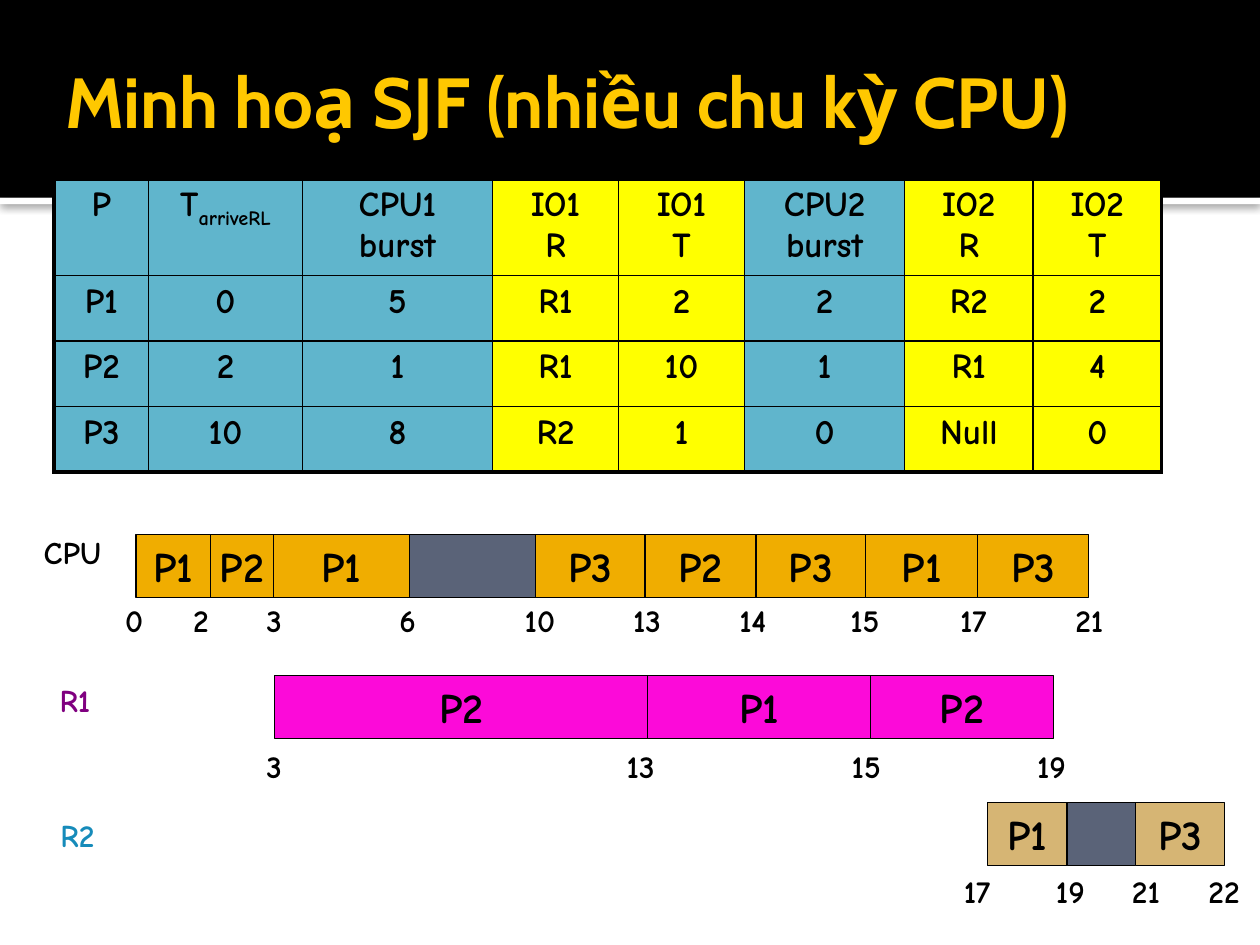
from dataclasses import dataclass
from itertools import pairwise

from lxml.etree import SubElement
from pptx import Presentation
from pptx.dml.color import RGBColor
from pptx.enum.shapes import MSO_SHAPE
from pptx.enum.text import MSO_ANCHOR, PP_ALIGN
from pptx.oxml import parse_xml
from pptx.oxml.ns import nsdecls, qn
from pptx.util import Inches, Pt


@dataclass(frozen=True)
class Theme:
    """Colours, fonts and type sizes."""
    black: str = "000000"
    white: str = "FFFFFF"
    title: str = "FFC800"
    cpu_cell: str = "60B5CC"
    io_cell: str = "FFFF00"
    cpu_bar: str = "F0AD00"
    r1_bar: str = "FC0AD9"
    r2_bar: str = "D6B574"
    idle_bar: str = "5A6378"
    r1_label: str = "800080"
    r2_label: str = "168BBA"
    head_font: str = "Cabin"
    body_font: str = "Comic Neue"
    title_size: float = 40.5
    cell_size: float = 20
    bar_size: float = 24
    tick_size: float = 18
    thin: float = 1
    thick: float = 2.25
    outline: float = 0.75


T = Theme()
COLUMNS = 100
SLIDE_W, SLIDE_H = 10, 7.5
BAR_H, LABEL_H = 5, 4

COL_WIDTHS = [7.5, 12.2, 15.1, 10, 10, 12.7, 10.2, 10.2]
ROW_HEIGHTS = [6.6, 5.2, 5.2, 5.2]
IO_COLUMNS = {3, 4, 6, 7}
ROWS = [
    ["P", "T", "CPU1\nburst", "IO1\nR", "IO1\nT", "CPU2 burst", "IO2\nR", "IO2\nT"],
    ["P1", "0", "5", "R1", "2", "2", "R2", "2"],
    ["P2", "2", "1", "R1", "10", "1", "R1", "4"],
    ["P3", "10", "8", "R2", "1", "0", "Null", "0"],
]

TIMELINES = [
    dict(name="CPU", label=(5.75, 41.8), color=T.black, fill=T.cpu_bar,
         top=42.4, tick_top=47.2,
         edges=[10.8, 16.7, 21.7, 32.5, 42.5, 51.2, 60, 68.7, 77.6, 86.4],
         jobs=["P1", "P2", "P1", "", "P3", "P2", "P3", "P1", "P3"],
         ticks={0: 10.6, 2: 15.9, 3: 21.7, 6: 32.3, 10: 42.8, 13: 51.4,
                14: 59.8, 15: 68.6, 17: 77.3, 21: 86.4}),
    dict(name="R1", label=(5.9, 53.6), color=T.r1_label, fill=T.r1_bar,
         top=53.6, tick_top=58.8,
         edges=[21.8, 51.4, 69.1, 83.6], jobs=["P2", "P1", "P2"],
         ticks={3: 21.7, 13: 50.9, 15: 68.8, 19: 83.4}),
    dict(name="R2", label=(6.2, 64.3), color=T.r2_label, fill=T.r2_bar,
         top=63.7, tick_top=68.7,
         edges=[78.4, 84.7, 90.1, 97.2], jobs=["P1", "", "P3"],
         ticks={17: 77.5, 19: 84.9, 21: 90.9, 22: 97.1}),
]


def grid(n):
    """Length of n grid columns; rows have the same pitch."""
    return Inches(round(n * SLIDE_W / COLUMNS, 2))


def rgb(color):
    """Colour object for a hex string."""
    return RGBColor.from_string(color)


def add_run(p, text, size, color=T.black, font=T.body_font):
    """Append one bold run to a paragraph."""
    r = p.add_run()
    r.text = text
    r.font.size, r.font.name, r.font.bold = Pt(size), font, True
    r.font.color.rgb = rgb(color)
    return r


def add_rect(s, x, y, w, h, fill, text="", outlined=True):
    """Draw a flat rectangle with optional centred text."""
    sp = s.shapes.add_shape(MSO_SHAPE.RECTANGLE, *map(grid, (x, y, w, h)))
    sp.shadow.inherit = False
    sp.fill.solid()
    sp.fill.fore_color.rgb = rgb(fill)
    if outlined:
        sp.line.color.rgb = rgb(T.black)
        sp.line.width = Pt(T.outline)
    else:
        sp.line.fill.background()
    if text:
        tf = sp.text_frame
        tf.word_wrap = False
        tf.vertical_anchor = MSO_ANCHOR.MIDDLE
        p = tf.paragraphs[0]
        p.alignment = PP_ALIGN.CENTER
        add_run(p, text, T.bar_size)
    return sp


def add_label(s, center, top, text, color=T.black):
    """Place a short text centred on a column position."""
    w = {1: 3.5, 2: 5.1}.get(len(text), 6.7)
    sp = s.shapes.add_textbox(*map(grid, (center - w / 2, top, w, LABEL_H)))
    tf = sp.text_frame
    tf.word_wrap = False
    p = tf.paragraphs[0]
    p.alignment = PP_ALIGN.CENTER
    add_run(p, text, T.tick_size, color)


def add_header(s):
    """Draw the black band, its shadowed edge and the title."""
    edge = add_rect(s, 0, 15.7, COLUMNS, 0.5, T.white, outlined=False)
    effects = edge._element.spPr.find(qn("a:effectLst"))
    effects.append(parse_xml(
        f'<a:outerShdw {nsdecls("a")} blurRad="{Pt(5)}" dist="{Pt(0.8)}" dir="5400000">'
        f'<a:srgbClr val="{T.black}"><a:alpha val="60000"/></a:srgbClr></a:outerShdw>'))
    add_rect(s, 0, 0, COLUMNS, 15.7, T.black, outlined=False)
    tf = s.shapes.add_textbox(*map(grid, (4.2, 1.7, 81.7, 12.5))).text_frame
    tf.word_wrap = True
    tf.vertical_anchor = MSO_ANCHOR.MIDDLE
    tf.margin_right = grid(0.5)
    add_run(tf.paragraphs[0], "Minh hoạ SJF (nhiều chu kỳ CPU)",
            T.title_size, T.title, T.head_font)


def set_borders(cell, outer):
    """Give a cell four borders, thick on the outer sides."""
    tcPr = cell._tc.get_or_add_tcPr()
    for i, (side, is_outer) in enumerate(outer.items()):
        width = T.thick if is_outer else T.thin
        ln = parse_xml(
            f'<a:{side} {nsdecls("a")} w="{Pt(width)}"><a:solidFill>'
            f'<a:srgbClr val="{T.black}"/></a:solidFill></a:{side}>')
        tcPr.insert(i, ln)


def add_process_table(s):
    """Build the table of bursts and I/O requests."""
    frame = s.shapes.add_table(len(ROWS), len(COL_WIDTHS), *map(
        grid, (4.3, 14.2, sum(COL_WIDTHS), sum(ROW_HEIGHTS))))
    table = frame.table
    for column, w in zip(table.columns, COL_WIDTHS):
        column.width = grid(w)
    for row, h in zip(table.rows, ROW_HEIGHTS):
        row.height = grid(h)
    for i, texts in enumerate(ROWS):
        for j, text in enumerate(texts):
            cell = table.cell(i, j)
            cell.fill.solid()
            cell.fill.fore_color.rgb = rgb(T.io_cell if j in IO_COLUMNS else T.cpu_cell)
            set_borders(cell, {"lnL": j == 0, "lnR": j == len(texts) - 1,
                               "lnT": i == 0, "lnB": i == len(ROWS) - 1})
            p = cell.text_frame.paragraphs[0]
            p.alignment = PP_ALIGN.CENTER
            for k, line in enumerate(text.split("\n")):
                if k:
                    br = SubElement(p._p, qn("a:br"))
                    SubElement(br, qn("a:rPr"), sz=str(T.cell_size * 100))
                add_run(p, line, T.cell_size)
    p = table.cell(0, 1).text_frame.paragraphs[0]
    r = add_run(p, "arriveRL", T.cell_size)
    r.font._element.set("baseline", "-25000")


def add_timeline(s, name, label, color, fill, top, tick_top, edges, jobs, ticks):
    """Draw one resource's bars with its name and time marks."""
    add_label(s, *label, name, color)
    for (left, right), job in zip(pairwise(edges), jobs):
        add_rect(s, left, top, right - left, BAR_H, fill if job else T.idle_bar, job)
    for time, center in ticks.items():
        add_label(s, center, tick_top, str(time))


def main():
    """Build and save the slide."""
    prs = Presentation()
    prs.slide_width, prs.slide_height = Inches(SLIDE_W), Inches(SLIDE_H)
    s = prs.slides.add_slide(prs.slide_layouts[6])
    add_header(s)
    add_process_table(s)
    for timeline in TIMELINES:
        add_timeline(s, **timeline)
    prs.save("out.pptx")


main()
